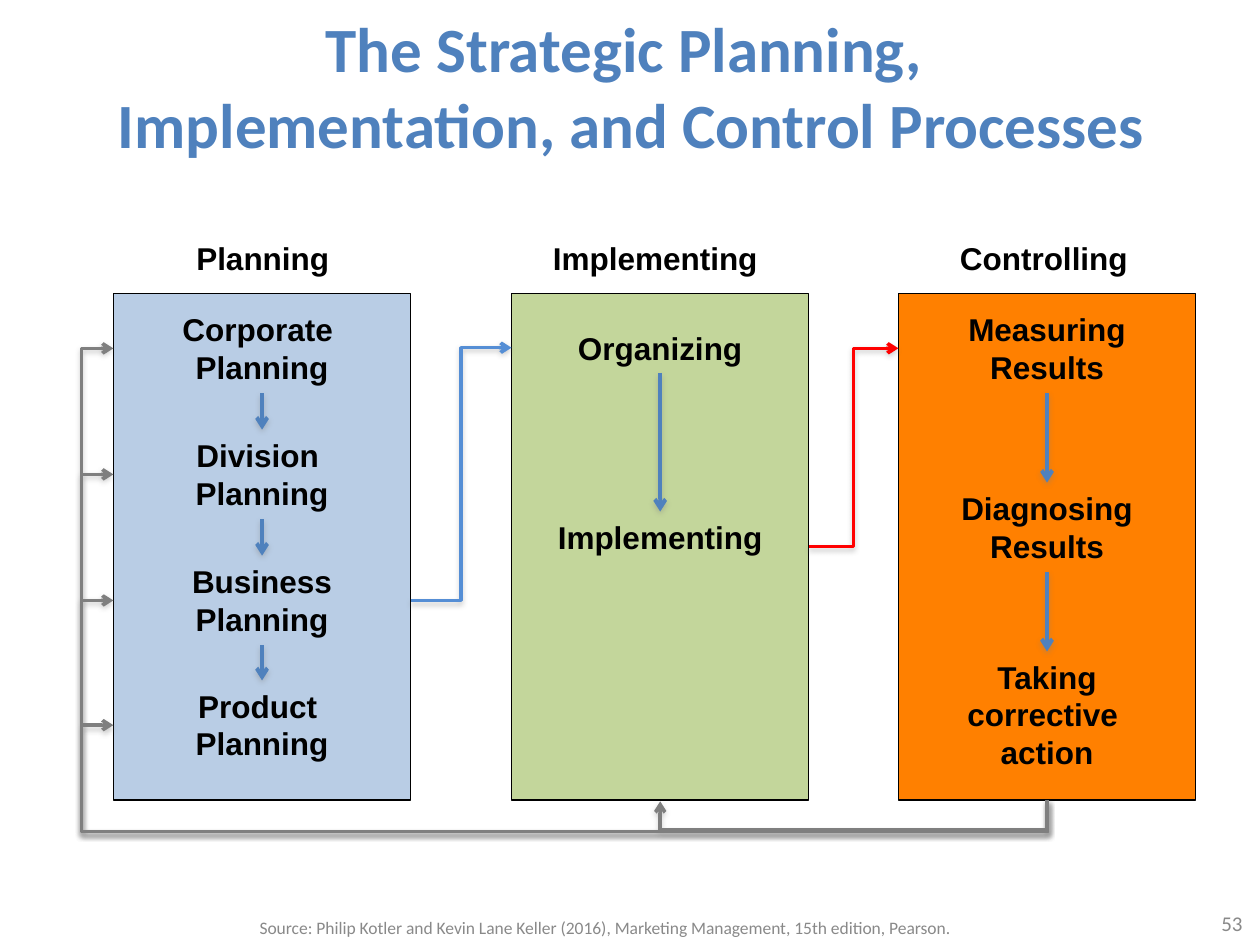
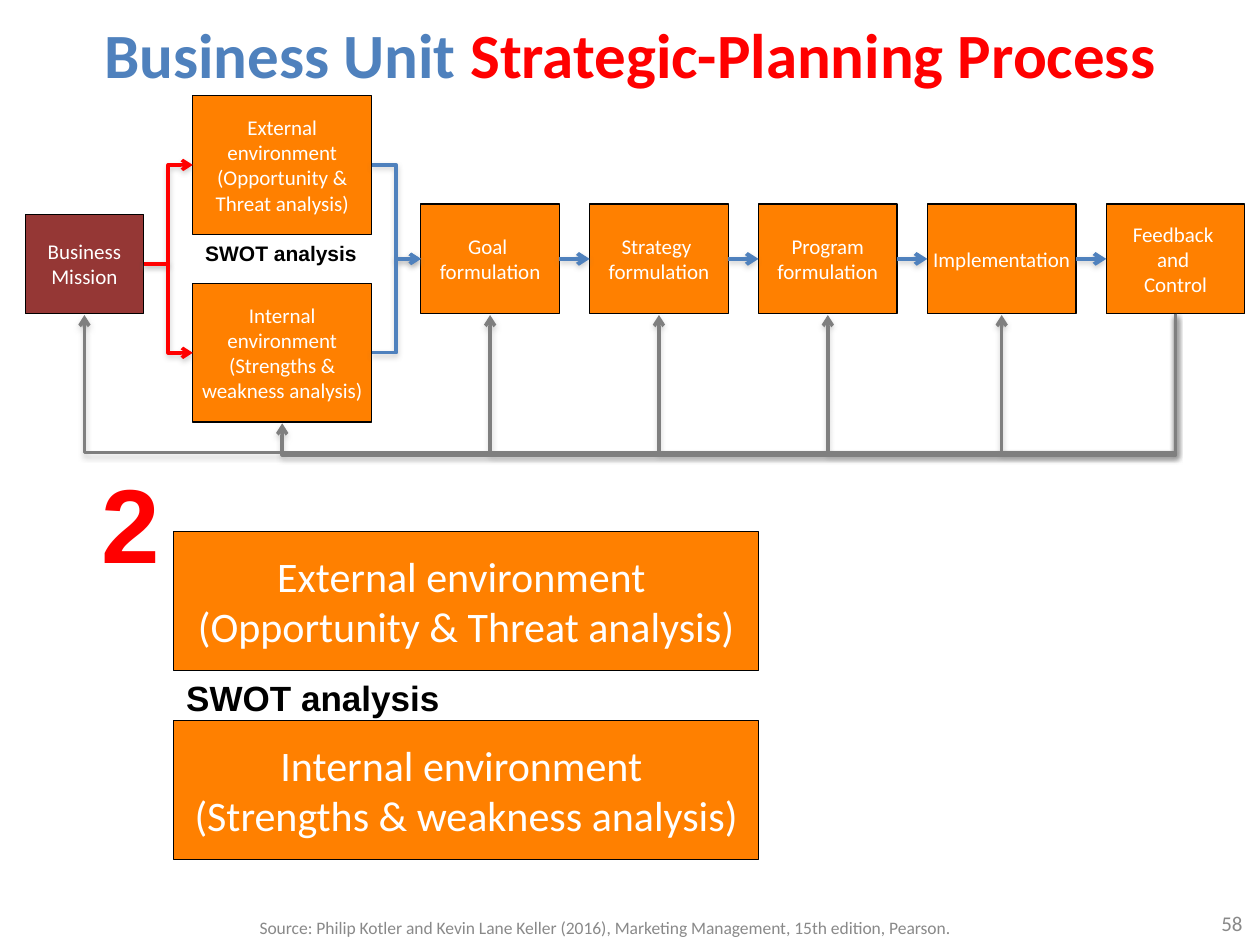
from dataclasses import dataclass

import pptx
import pptx.dml.color
import pptx.enum.shapes
import pptx.enum.text
import pptx.oxml
import pptx.oxml.ns
import pptx.presentation
import pptx.shapes.autoshape
import pptx.shapes.connector
import pptx.slide
import pptx.util

Inches = pptx.util.Inches
Pt = pptx.util.Pt
RGBColor = pptx.dml.color.RGBColor
Align = pptx.enum.text.PP_ALIGN
Anchor = pptx.enum.text.MSO_ANCHOR
Connector = pptx.enum.shapes.MSO_CONNECTOR
Shape = pptx.shapes.autoshape.Shape
Slide = pptx.slide.Slide
qn = pptx.oxml.ns.qn

BLACK = RGBColor(0x00, 0x00, 0x00)
WHITE = RGBColor(0xFF, 0xFF, 0xFF)
BLUE = RGBColor(0x4F, 0x81, 0xBD)
BRIGHT_BLUE = RGBColor(0x55, 0x8E, 0xD5)
PALE_BLUE = RGBColor(0xB9, 0xCD, 0xE5)
GREEN = RGBColor(0xC3, 0xD6, 0x9B)
ORANGE = RGBColor(0xFF, 0x80, 0x00)
MAROON = RGBColor(0x95, 0x37, 0x35)
RED = RGBColor(0xFF, 0x00, 0x00)
GREY = RGBColor(0x7F, 0x7F, 0x7F)
FOOTER_GREY = RGBColor(0x89, 0x89, 0x89)

HEADING_FONT = "Calibri"
LABEL_FONT = "Arial"
SOURCE = ("Source: Philip Kotler and Kevin Lane Keller (2016), "
          "Marketing Management, 15th edition, Pearson.")
TOP, LEFT, BOTTOM, RIGHT = range(4)

SHADOW_XML = (
    '<a:effectLst xmlns:a="http://schemas.openxmlformats.org/drawingml/2006/main">'
    '<a:outerShdw blurRad="40000" dist="20000" dir="5400000" rotWithShape="0">'
    '<a:srgbClr val="808080"><a:alpha val="38000"/></a:srgbClr>'
    '</a:outerShdw></a:effectLst>'
)


@dataclass(frozen=True)
class Box:
    left: float
    top: float
    width: float
    height: float


@dataclass(frozen=True)
class Step:
    text: str
    top: float
    height: float
    width: float = 2.36


@dataclass(frozen=True)
class Phase:
    name: str
    name_left: float
    name_width: float
    left: float
    fill: RGBColor
    steps: tuple[Step, ...]


@dataclass(frozen=True)
class Stage:
    text: str
    width: float = 1.1


PHASE_TOP, PHASE_WIDTH, PHASE_HEIGHT = 2.33, 2.36, 4.02
PHASES = (
    Phase("Planning", 1.46, 1.27, 0.9, PALE_BLUE, (
        Step("Corporate \nPlanning", 2.41, 0.71),
        Step("Division \nPlanning", 3.41, 0.71),
        Step("Business Planning", 4.41, 0.71),
        Step("Product \nPlanning", 5.4, 0.71),
    )),
    Phase("Implementing", 4.29, 1.84, 4.06, GREEN, (
        Step("Organizing", 2.56, 0.4),
        Step("Implementing", 4.06, 0.4, 2.2),
    )),
    Phase("Controlling", 7.52, 1.55, 7.13, ORANGE, (
        Step("Measuring Results", 2.41, 0.71),
        Step("Diagnosing Results", 3.83, 0.71, 2.2),
        Step("Taking corrective \naction", 5.17, 1.01, 2.2),
    )),
)

STAGES_LEFT, STAGES_TOP, STAGE_HEIGHT, STAGE_GAP = 3.34, 1.62, 0.87, 0.24
STAGES = (
    Stage("Goal \nformulation"),
    Stage("Strategy \nformulation"),
    Stage("Program formulation"),
    Stage("Implementation", 1.18),
    Stage("Feedback \nand \nControl"),
)


def write(shape: Shape, text: str, *, size: float, color: RGBColor,
          font: str = HEADING_FONT, bold: bool = False,
          align: Align = Align.CENTER) -> None:
    """Append text to the first paragraph; a newline becomes a line break."""
    paragraph = shape.text_frame.paragraphs[0]
    paragraph.alignment = align
    for index, line in enumerate(text.split("\n")):
        if index:
            paragraph.add_line_break()
        run = paragraph.add_run()
        run.text = line
        run.font.name = font
        run.font.size = Pt(size)
        run.font.bold = bold
        run.font.color.rgb = color


def add_text_area(slide: Slide, box: Box, *, anchor: Anchor = Anchor.TOP,
                  wrap: bool = True) -> Shape:
    area = slide.shapes.add_textbox(Inches(box.left), Inches(box.top),
                                    Inches(box.width), Inches(box.height))
    area.text_frame.word_wrap = wrap
    area.text_frame.vertical_anchor = anchor
    return area


def add_label(slide: Slide, box: Box, text: str, *, size: float = 18,
              color: RGBColor = BLACK, align: Align = Align.LEFT,
              wrap: bool = False) -> Shape:
    label = add_text_area(slide, box, wrap=wrap)
    write(label, text, size=size, color=color, font=LABEL_FONT, bold=True, align=align)
    return label


def add_block(slide: Slide, box: Box, fill: RGBColor, text: str = "",
              size: float = 12) -> Shape:
    block = slide.shapes.add_shape(
        pptx.enum.shapes.MSO_SHAPE.RECTANGLE, Inches(box.left), Inches(box.top),
        Inches(box.width), Inches(box.height))
    block.shadow.inherit = False
    block.fill.solid()
    block.fill.fore_color.rgb = fill
    block.line.color.rgb = BLACK
    block.line.width = Pt(0.75)
    if text:
        frame = block.text_frame
        frame.word_wrap = True
        frame.vertical_anchor = Anchor.MIDDLE
        frame.margin_left = frame.margin_right = 0
        frame.margin_top = frame.margin_bottom = 0
        write(block, text, size=size, color=WHITE)
    return block


def style_arrow(arrow: pptx.shapes.connector.Connector, color: RGBColor,
                width: float) -> None:
    arrow.line.color.rgb = color
    arrow.line.width = Pt(width)
    properties = arrow.element.spPr
    outline = properties.find(qn("a:ln"))
    outline.append(outline.makeelement(qn("a:tailEnd"), {"type": "arrow"}))
    properties.append(pptx.oxml.parse_xml(SHADOW_XML))


def join(slide: Slide, source: Shape, source_side: int, target: Shape,
         target_side: int, color: RGBColor = BLUE, *, elbow: bool = False) -> None:
    kind = Connector.ELBOW if elbow else Connector.STRAIGHT
    arrow = slide.shapes.add_connector(kind, 0, 0, 0, 0)
    arrow.begin_connect(source, source_side)
    arrow.end_connect(target, target_side)
    style_arrow(arrow, color, 2 if elbow else 2.25)


def add_feedback(slide: Slide, source: Shape, target: Shape, bus: float,
                 lane: float | None = None) -> None:
    """Run from the source's bottom along the bus to the target's bottom,
    or up a lane to the target's left side."""
    start_x = source.left + source.width // 2
    start_y = source.top + source.height
    if lane is None:
        end_x = target.left + target.width // 2
        end_y = target.top + target.height + Inches(0.01)
    else:
        end_x = target.left
        end_y = target.top + target.height // 2
    drop, run = end_y - start_y, start_x - end_x
    middle_x, middle_y = (start_x + end_x) // 2, (start_y + end_y) // 2
    # The box is laid out before its quarter turn, so drop and run swap axes.
    arrow = slide.shapes.add_connector(
        Connector.ELBOW, middle_x - drop // 2, middle_y - run // 2,
        middle_x + drop // 2, middle_y + run // 2)
    bends = [(Inches(bus) - start_y) / drop]
    if lane is not None:
        bends.append((start_x - Inches(lane)) / run)
    properties = arrow.element.spPr
    properties.find(qn("a:xfrm")).set("rot", "5400000")
    geometry = properties.find(qn("a:prstGeom"))
    geometry.set("prst", f"bentConnector{len(bends) + 2}")
    guides = geometry.find(qn("a:avLst"))
    if guides is None:
        guides = geometry.makeelement(qn("a:avLst"), {})
        geometry.append(guides)
    for number, bend in enumerate(bends, start=1):
        guides.append(guides.makeelement(
            qn("a:gd"), {"name": f"adj{number}", "fmla": f"val {round(bend * 100000)}"}))
    style_arrow(arrow, GREY, 2)


def add_base_slide(deck: pptx.presentation.Presentation, number: int, title_box: Box,
                   *title_parts: tuple[str, RGBColor]) -> Slide:
    slide = deck.slides.add_slide(deck.slide_layouts[6])
    title = add_text_area(slide, title_box, anchor=Anchor.MIDDLE)
    for text, color in title_parts:
        write(title, text, size=36, color=color, bold=True)
    page = add_text_area(slide, Box(7.63, 7.13, 2.33, 0.4), anchor=Anchor.MIDDLE)
    write(page, str(number), size=12, color=FOOTER_GREY, align=Align.RIGHT)
    source = add_text_area(slide, Box(0.51, 7.22, 8.58, 0.28), anchor=Anchor.MIDDLE)
    write(source, SOURCE, size=10, color=FOOTER_GREY)
    return slide


def add_phase(slide: Slide, phase: Phase) -> tuple[Shape, list[Shape]]:
    """Return the phase's column and its steps."""
    add_label(slide, Box(phase.name_left, 1.85, phase.name_width, 0.4), phase.name)
    column = add_block(
        slide, Box(phase.left, PHASE_TOP, PHASE_WIDTH, PHASE_HEIGHT), phase.fill)
    steps = []
    for step in phase.steps:
        left = phase.left + (PHASE_WIDTH - step.width) / 2
        steps.append(add_label(slide, Box(left, step.top, step.width, step.height),
                               step.text, align=Align.CENTER, wrap=True))
    for upper, lower in zip(steps, steps[1:]):
        join(slide, upper, BOTTOM, lower, TOP)
    return column, steps


def build_processes(deck: pptx.presentation.Presentation) -> None:
    slide = add_base_slide(
        deck, 53, Box(0.51, 0.05, 9, 1.25),
        ("The Strategic Planning, \nImplementation, and Control Processes", BLUE))
    planning, implementing, controlling = [add_phase(slide, phase) for phase in PHASES]
    business = planning[1][2]
    join(slide, implementing[0], RIGHT, controlling[1][0], LEFT, RED, elbow=True)
    join(slide, business, RIGHT, implementing[1][0], LEFT, BRIGHT_BLUE, elbow=True)
    add_feedback(slide, controlling[0], implementing[0], 6.59)
    for step in reversed(planning[1]):
        add_feedback(slide, controlling[0], step, 6.6, lane=0.65)


def build_business_unit(deck: pptx.presentation.Presentation) -> None:
    slide = add_base_slide(deck, 58, Box(0.5, 0, 9, 0.84),
                           ("Business Unit ", BLUE), ("Strategic-Planning Process", RED))
    mission = add_block(slide, Box(0.2, 1.7, 0.94, 0.79), MAROON, "Business Mission")
    external = add_block(slide, Box(1.53, 0.76, 1.42, 1.1), ORANGE,
                         "External environment (Opportunity & Threat analysis)")
    internal = add_block(slide, Box(1.53, 2.25, 1.42, 1.1), ORANGE,
                         "Internal environment (Strengths & weakness analysis)")
    add_label(slide, Box(1.53, 1.86, 1.42, 0.3), "SWOT analysis", size=12)

    stages = []
    left = STAGES_LEFT
    for stage in STAGES:
        stages.append(add_block(slide, Box(left, STAGES_TOP, stage.width, STAGE_HEIGHT),
                                ORANGE, stage.text))
        left += stage.width + STAGE_GAP

    for environment in (external, internal):
        join(slide, mission, RIGHT, environment, LEFT, RED, elbow=True)
        join(slide, environment, RIGHT, stages[0], LEFT, elbow=True)
    for earlier, later in zip(stages, stages[1:]):
        join(slide, earlier, RIGHT, later, LEFT)
    control = stages[-1]
    for target in (*reversed(stages[:-1]), internal, mission):
        add_feedback(slide, control, target, 3.61)

    for top, text in (
        (4.22, "External environment \n(Opportunity & Threat analysis)"),
        (5.72, "Internal environment \n(Strengths & weakness analysis)"),
    ):
        add_block(slide, Box(1.38, top, 4.64, 1.1), ORANGE, text, size=24)
    add_label(slide, Box(1.38, 5.32, 4.64, 0.44), "SWOT analysis", size=20, wrap=True)
    add_label(slide, Box(0.71, 3.59, 0.67, 1.11), "2", size=60, color=RED)


def main() -> None:
    deck = pptx.Presentation()
    deck.slide_width = Inches(10)
    deck.slide_height = Inches(7.5)
    build_processes(deck)
    build_business_unit(deck)
    deck.save("out.pptx")


if __name__ == "__main__":
    main()
